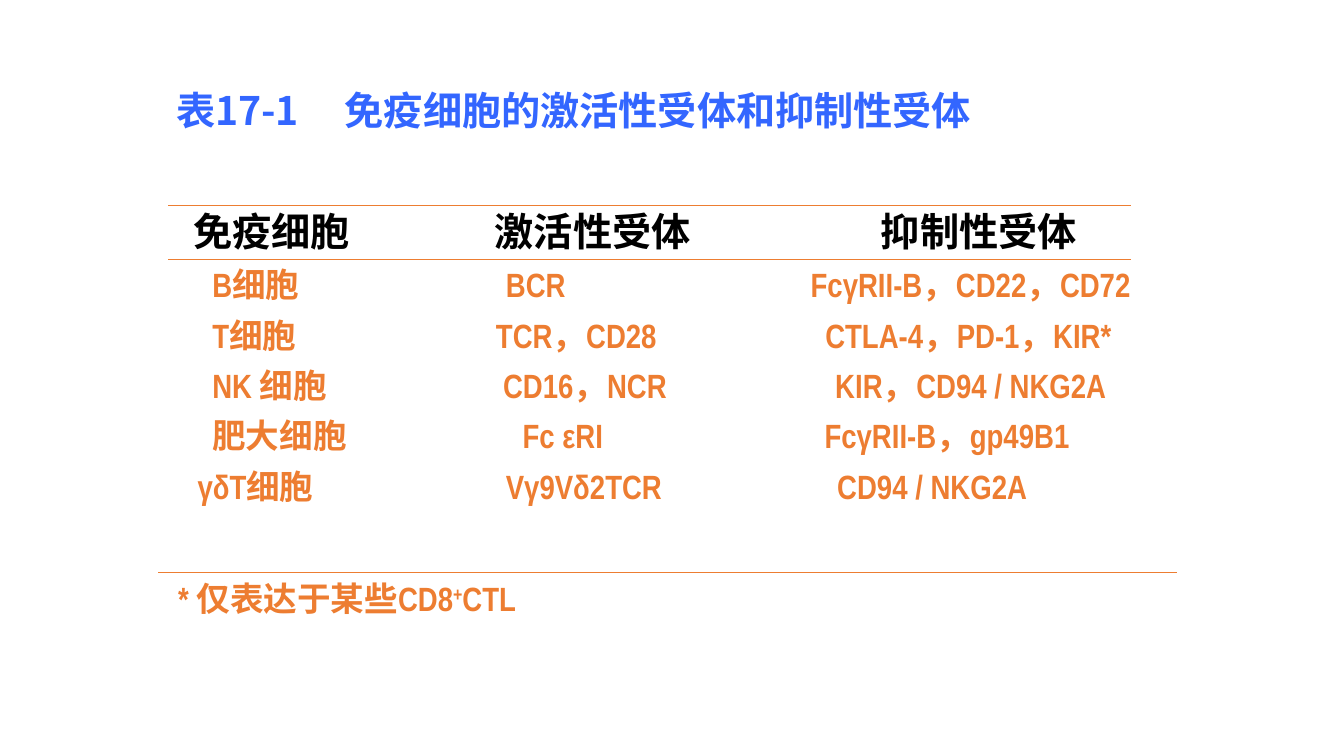
"""Build the slide listing activating and inhibitory receptors of immune cells."""
import pptx
import pptx.dml.color
import pptx.enum.shapes
import pptx.enum.text
import pptx.oxml.ns
import pptx.util
from lxml import etree

Cm = pptx.util.Cm
Pt = pptx.util.Pt
RGBColor = pptx.dml.color.RGBColor
qn = pptx.oxml.ns.qn

BLUE = RGBColor(0x33, 0x66, 0xFF)
BLACK = RGBColor(0, 0, 0)
ORANGE = RGBColor(0xED, 0x7D, 0x31)
CJK_FONT = "Noto Sans CJK SC"
LATIN_FONT = "Arial Narrow"


class ReceptorSlide:
    def __init__(self, slide):
        self.slide = slide

    def rule(self, left, right, y):
        line = self.slide.shapes.add_connector(
            pptx.enum.shapes.MSO_CONNECTOR.STRAIGHT, Cm(left), Cm(y), Cm(right), Cm(y))
        line.line.color.rgb = ORANGE
        line.line.width = Pt(0.75)
        etree.SubElement(line._element.spPr, qn("a:effectLst"))

    def box(self, left, top, width, height):
        frame = self.slide.shapes.add_textbox(
            Cm(left), Cm(top), Cm(width), Cm(height)).text_frame
        frame.word_wrap = True
        frame.auto_size = pptx.enum.text.MSO_AUTO_SIZE.SHAPE_TO_FIT_TEXT
        return frame

    def tabs(self, paragraph, stops):
        tab_list = etree.SubElement(paragraph._p.get_or_add_pPr(), qn("a:tabLst"))
        for stop in stops:
            etree.SubElement(tab_list, qn("a:tab"), pos=str(Cm(stop)), algn="l")

    def run(self, paragraph, text, size, color, font=LATIN_FONT, raised=False):
        run = paragraph.add_run()
        run.text = text
        run.font.size = Pt(size)
        run.font.bold = True
        run.font.color.rgb = color
        run.font.name = font
        properties = run._r.get_or_add_rPr()
        etree.SubElement(properties, qn("a:ea"), typeface=CJK_FONT)
        if raised:
            properties.set("baseline", "30000")

    def title(self, text, stop):
        paragraph = self.box(4.19, 2.06, 25.35, 1.45).paragraphs[0]
        self.tabs(paragraph, [stop])
        self.run(paragraph, text, 28, BLUE, CJK_FONT)

    def heading(self, text, left, width):
        self.run(self.box(left, 5.11, width, 1.45).paragraphs[0], text, 28, BLACK)

    def rows(self, entries):
        frame = self.box(4.55, 6.48, 25.68, 7.7)
        for index, (cells, stops) in enumerate(entries):
            paragraph = frame.add_paragraph() if index else frame.paragraphs[0]
            self.tabs(paragraph, stops)
            paragraph.line_spacing = 1.05
            if index:
                paragraph.space_before = Pt(5.8)
            for cell in cells:
                self.run(paragraph, "\t" + cell, 24, ORANGE)

    def footnote(self, parts):
        paragraph = self.box(4.24, 14.45, 19.2, 1.27).paragraphs[0]
        for text, raised in parts:
            self.run(paragraph, text, 24, ORANGE, raised=raised)


def main():
    deck = pptx.Presentation()
    deck.slide_width, deck.slide_height = Cm(33.87), Cm(19.05)
    page = ReceptorSlide(deck.slides.add_slide(deck.slide_layouts[6]))

    page.title("表17-1\t免疫细胞的激活性受体和抑制性受体", 4.25)
    for left, right, y in [(4.24, 28.5, 5.18), (4.24, 28.5, 6.55), (3.99, 29.67, 14.43)]:
        page.rule(left, right, y)
    for text, left, width in [("免疫细胞", 4.62, 5.64),
                              ("激活性受体", 12.22, 8.18),
                              ("抑制性受体", 21.95, 8.18)]:
        page.heading(text, left, width)
    page.rows([
        (("B细胞", "BCR", "FcγRII-B，CD22，CD72"), (0.55, 7.95, 15.63)),
        (("T细胞", "TCR，CD28", "CTLA-4，PD-1，KIR*"), (0.55, 7.7, 16)),
        (("NK 细胞", "CD16，NCR", "KIR，CD94 / NKG2A"), (0.55, 7.88, 16.25)),
        (("肥大细胞", "Fc εRI", "FcγRII-B，gp49B1"), (0.55, 8.37, 15.98)),
        (("γδT细胞", "Vγ9Vδ2TCR", "CD94 / NKG2A"), (0.18, 7.95, 16.3)),
    ])
    page.footnote([("* 仅表达于某些CD8", False), ("+", True), ("CTL", False)])
    deck.save("out.pptx")


if __name__ == "__main__":
    main()
